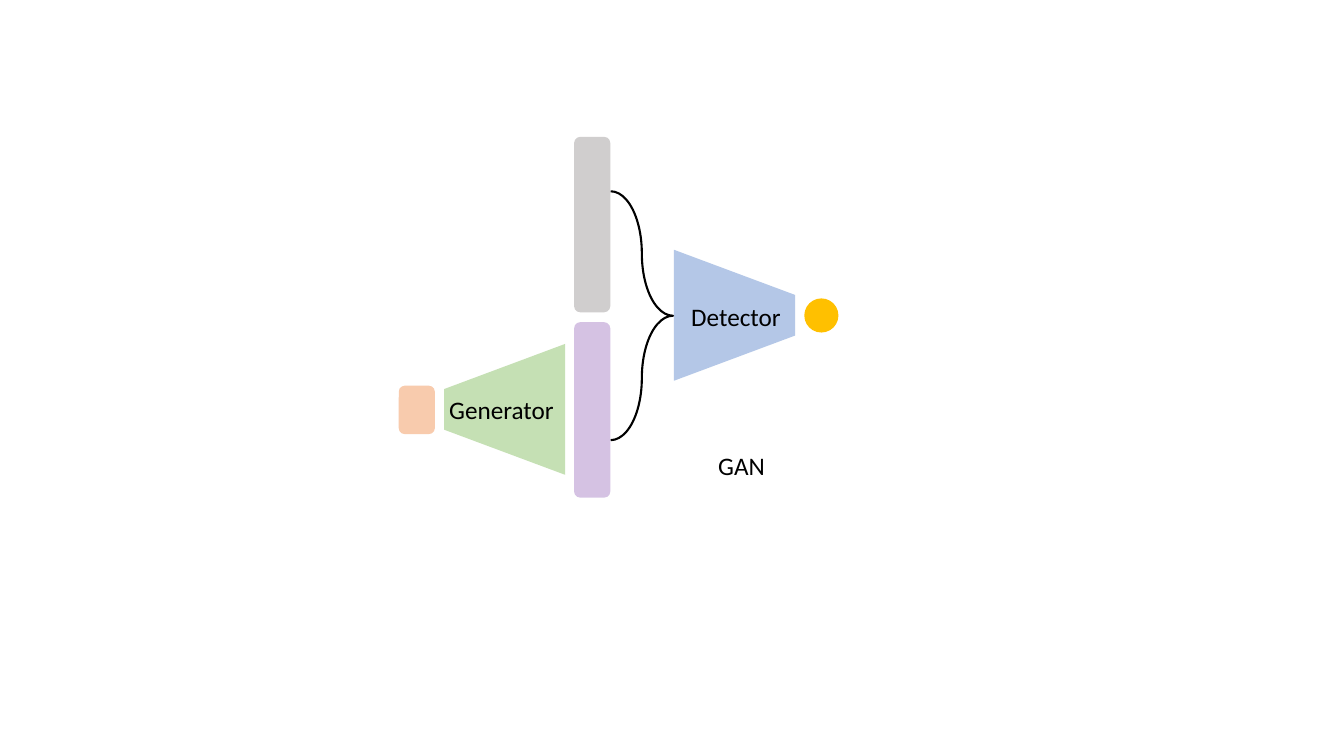
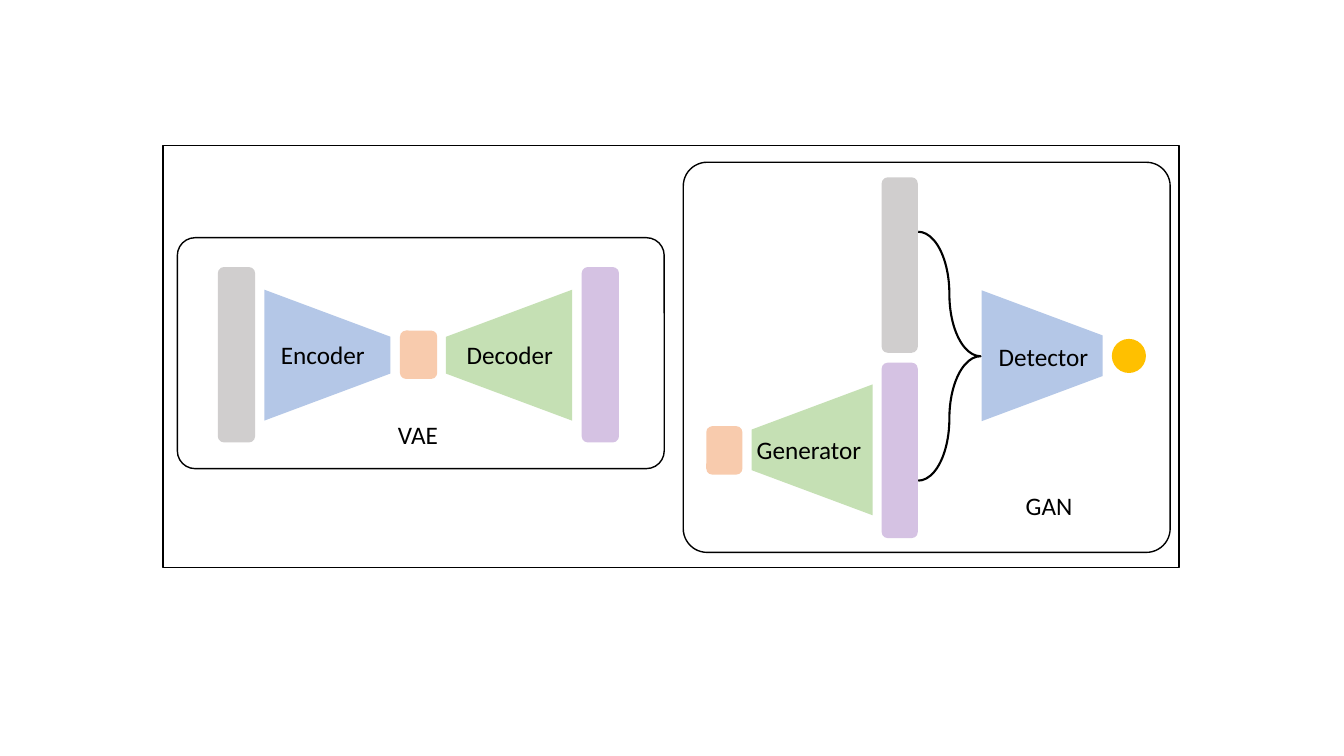
from lxml.etree import SubElement
from pptx import Presentation
from pptx.dml.color import RGBColor
from pptx.enum.shapes import MSO_SHAPE as Shape
from pptx.enum.text import MSO_AUTO_SIZE
from pptx.oxml.ns import qn
from pptx.util import Cm, Pt

BLACK = RGBColor(0x00, 0x00, 0x00)
WHITE = RGBColor(0xFF, 0xFF, 0xFF)
GRAY = RGBColor(0xD0, 0xCE, 0xCE)
PURPLE = RGBColor(0x70, 0x30, 0xA0)
GREEN = RGBColor(0xC5, 0xE0, 0xB4)
BLUE = RGBColor(0xB4, 0xC7, 0xE7)
ORANGE = RGBColor(0xF8, 0xCB, 0xAD)
GOLD = RGBColor(0xFF, 0xC0, 0x00)

FONT = "Calibri"
PURPLE_OPACITY = 29  # percent
NARROWING, WIDENING = 90, 270  # rotation of a network trapezoid
BAR_HEIGHT, LATENT_HEIGHT, NETWORK_SPAN = 4.42, 1.22, 3.3
LABEL_HEIGHT = 1.02

# Models: lengths in cm, positions measured from the panel corner
VAE = {
    "panel": (12.27, 5.82, 0.077),
    "block_width": 0.94,
    "network_length": 3.18,
    "networks": [(2.13, 1.37, NARROWING, BLUE), (6.71, 1.37, WIDENING, GREEN)],
    "blocks": [(1.02, 0.74, BAR_HEIGHT, GRAY),
               (5.61, 2.34, LATENT_HEIGHT, ORANGE),
               (10.19, 0.74, BAR_HEIGHT, PURPLE)],
    "labels": [("VAE", 5.31, 4.45, 1.85),
               ("Encoder", 2.36, 2.44, 3.05),
               ("Decoder", 7.04, 2.44, 3.1)],
}
GAN = {
    "panel": (12.27, 9.83, 0.061),
    "block_width": 0.91,
    "network_length": 3.05,
    "networks": [(1.6, 5.72, WIDENING, GREEN), (7.39, 3.35, NARROWING, BLUE)],
    "blocks": [(0.58, 6.65, LATENT_HEIGHT, ORANGE),
               (5, 5.05, BAR_HEIGHT, PURPLE),
               (5, 0.38, BAR_HEIGHT, GRAY)],
    "verdict": (10.8, 4.45, 0.86, 0.86),
    "brace": (5.92, 1.75, 1.57, 6.27),
    "labels": [("GAN", 8.38, 8.15, 2.44),
               ("Generator", 1.6, 6.73, 3.4),
               ("Detector", 7.7, 4.39, 3.2)],
}

# Slides: models with their panel corners, outer frame, outline colour
SLIDES = [
    {"models": [(GAN, 9.47, 3.07)],
     "frame": (9.22, 2.74, 12.78, 10.49), "outline": WHITE},
    {"models": [(VAE, 4.47, 5.99), (GAN, 17.22, 4.09)],
     "frame": (4.11, 3.66, 25.6, 10.64), "outline": BLACK},
]


def add_part(shapes, kind, box, fill=None, line=None, weight=1, adjust=(), turn=0):
    part = shapes.add_shape(kind, *map(Cm, box))
    part.shadow.inherit = False
    part.rotation = turn
    for index, value in enumerate(adjust):
        part.adjustments[index] = value
    if fill is None:
        part.fill.background()
    else:
        part.fill.solid()
        part.fill.fore_color.rgb = fill
    if line is None:
        part.line.fill.background()
    else:
        part.line.color.rgb = line
        part.line.width = Pt(weight)
    if fill == PURPLE:
        color = part.fill._xPr.find(qn("a:solidFill")).find(qn("a:srgbClr"))
        SubElement(color, qn("a:alpha"), val=str(PURPLE_OPACITY * 1000))


def add_label(shapes, text, box):
    label = shapes.add_textbox(*map(Cm, box))
    frame = label.text_frame
    frame.word_wrap = True
    frame.auto_size = MSO_AUTO_SIZE.SHAPE_TO_FIT_TEXT
    paragraph = frame.paragraphs[0]
    paragraph.text = text
    paragraph.font.name = FONT
    paragraph.font.size = Pt(18)
    paragraph.font.color.rgb = BLACK


def add_model(slide, model, left, top, outline):
    shapes = slide.shapes.add_group_shape().shapes

    def place(x, y, width, height):
        return left + x, top + y, width, height

    panel_width, panel_height, corner = model["panel"]
    add_part(shapes, Shape.ROUNDED_RECTANGLE, place(0, 0, panel_width, panel_height),
             fill=WHITE, line=outline, adjust=[corner])
    for x, y, turn, color in model["networks"]:
        add_part(shapes, Shape.TRAPEZOID,
                 place(x, y, NETWORK_SPAN, model["network_length"]),
                 fill=color, adjust=[0.373], turn=turn)
    for x, y, height, color in model["blocks"]:
        add_part(shapes, Shape.ROUNDED_RECTANGLE,
                 place(x, y, model["block_width"], height), fill=color)
    if "verdict" in model:
        add_part(shapes, Shape.OVAL, place(*model["verdict"]), fill=GOLD)
    if "brace" in model:
        add_part(shapes, Shape.LEFT_BRACE, place(*model["brace"]),
                 line=BLACK, weight=1.5, adjust=[1.39, 0.5], turn=180)
    for text, x, y, width in model["labels"]:
        add_label(shapes, text, place(x, y, width, LABEL_HEIGHT))


def main():
    deck = Presentation()
    deck.slide_width, deck.slide_height = Cm(33.87), Cm(19.05)
    blank_layout = deck.slide_layouts[6]
    for content in SLIDES:
        slide = deck.slides.add_slide(blank_layout)
        for model, left, top in content["models"]:
            add_model(slide, model, left, top, content["outline"])
        add_part(slide.shapes, Shape.RECTANGLE, content["frame"],
                 line=content["outline"])
    deck.save("out.pptx")


if __name__ == "__main__":
    main()
